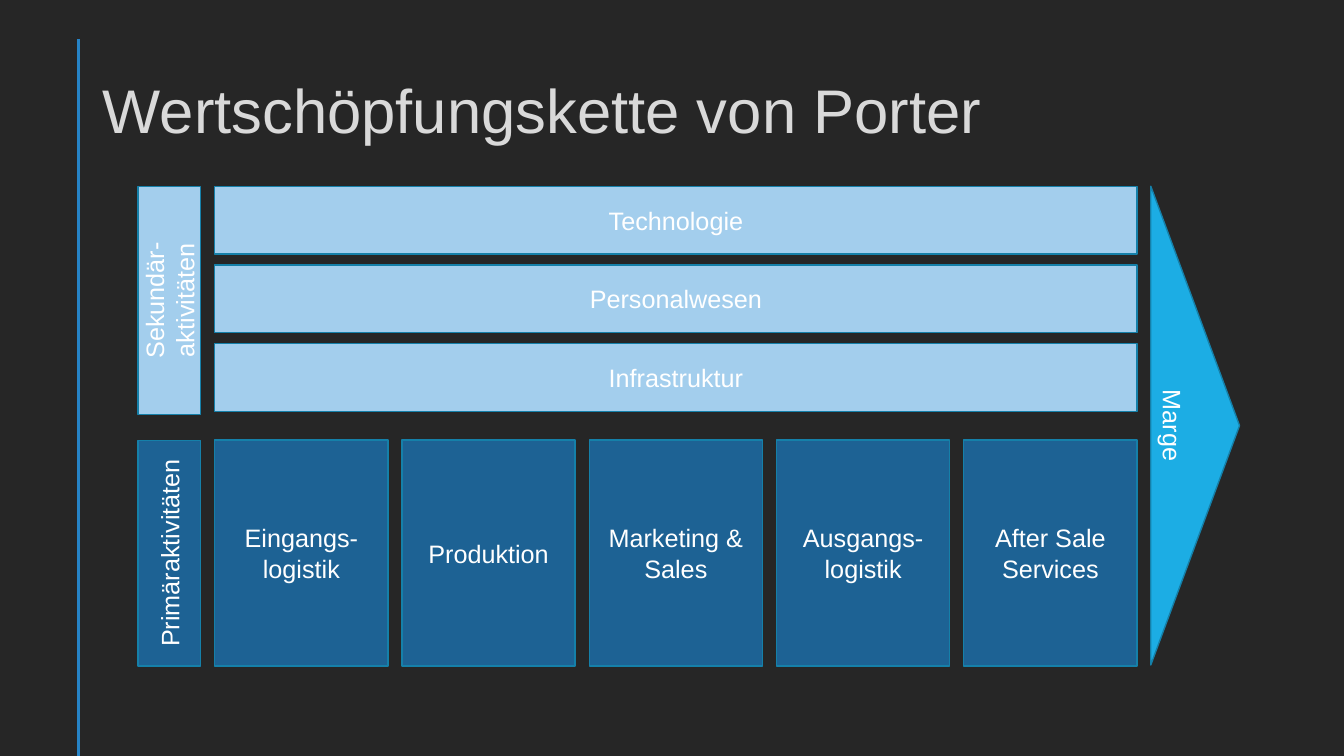
import pptx
import pptx.dml.color
import pptx.enum.shapes
import pptx.enum.text
import pptx.oxml
import pptx.util

Pt = pptx.util.Pt
Shape = pptx.enum.shapes.MSO_SHAPE
Align = pptx.enum.text.PP_ALIGN
Anchor = pptx.enum.text.MSO_ANCHOR

COLORS = {
    "background": "262626",
    "title": "D9D9D9",
    "text": "FFFFFF",
    "rule": "2683C6",
    "outline": "1580A9",
    "secondary": "A3CEED",
    "primary": "1D6294",
    "margin": "1CADE4",
}
FONT = "Arial"
SUPPORT = ["Technologie", "Personalwesen", "Infrastruktur"]
CORE = [
    ["Eingangs-", "logistik"],
    ["Produktion"],
    ["Marketing &", "Sales"],
    ["Ausgangs-", "logistik"],
    ["After Sale Services"],
]
LABEL_WIDTH = 44.6
LABEL_GAP = 10.2
BAR_GAP = 8
BOX_GAP = 10


def color(name):
    """Return the named palette colour."""
    return pptx.dml.color.RGBColor.from_string(COLORS[name])


def add_run(para, text, size, name):
    """Add one formatted run to a paragraph."""
    span = para.add_run()
    span.text = text
    span.font.size = Pt(size)
    span.font.name = FONT
    span.font.color.rgb = color(name)


def add_block(page, box, lines, fill, kind=Shape.RECTANGLE, rotation=0):
    """Fill a visible box with a labelled shape, turned if asked."""
    left, top, width, height = box
    if rotation:
        left, top = left + (width - height) / 2, top + (height - width) / 2
        width, height = height, width
    block = page.shapes.add_shape(kind, Pt(left), Pt(top), Pt(width), Pt(height))
    block.rotation = rotation
    block.shadow.inherit = False
    block.fill.solid()
    block.fill.fore_color.rgb = color(fill)
    block.line.color.rgb = color("outline")
    block.line.width = Pt(1)
    frame = block.text_frame
    frame.word_wrap = True
    frame.vertical_anchor = Anchor.MIDDLE
    for index, line in enumerate(lines):
        para = frame.add_paragraph() if index else frame.paragraphs[0]
        para.alignment = Align.CENTER
        add_run(para, line, 18, "text")


def add_rule(page, left, top, bottom):
    """Draw the vertical accent line beside the title."""
    rule = page.shapes.add_connector(
        pptx.enum.shapes.MSO_CONNECTOR.STRAIGHT, Pt(left), Pt(top), Pt(left), Pt(bottom))
    rule.line.color.rgb = color("rule")
    rule.line.width = Pt(2)
    rule._element.spPr.append(pptx.oxml.parse_xml(
        '<a:effectLst xmlns:a="http://schemas.openxmlformats.org/drawingml/2006/main"/>'))


def add_title(page, box, text):
    """Place and format the title placeholder."""
    title = page.shapes.title
    title.left, title.top, title.width, title.height = map(Pt, box)
    frame = title.text_frame
    frame.word_wrap = True
    frame.vertical_anchor = Anchor.MIDDLE
    para = frame.paragraphs[0]
    para.alignment = Align.LEFT
    para.line_spacing = 0.9
    add_run(para, text, 44, "title")


def add_secondary(page, box):
    """Draw the side label and stacked bars of the support activities."""
    left, top, width, height = box
    add_block(page, (left, top, LABEL_WIDTH, height), ["Sekundär-aktivitäten"],
              "secondary", rotation=270)
    bar_left = left + LABEL_WIDTH + LABEL_GAP
    bar_height = 48.2
    for index, name in enumerate(SUPPORT):
        bar_top = top + index * (bar_height + BAR_GAP)
        add_block(page, (bar_left, bar_top, left + width - bar_left, bar_height),
                  [name], "secondary")


def add_primary(page, box):
    """Draw the side label and row of boxes of the core activities."""
    left, top, width, height = box
    add_block(page, (left, top, LABEL_WIDTH, height), ["Primäraktivitäten"],
              "primary", rotation=270)
    row_left = left + LABEL_WIDTH + LABEL_GAP
    box_width = (left + width - row_left - BOX_GAP * (len(CORE) - 1)) / len(CORE)
    for index, lines in enumerate(CORE):
        box_left = row_left + index * (box_width + BOX_GAP)
        add_block(page, (box_left, top, box_width, height), lines, "primary")


def add_margin(page, box):
    """Draw the margin arrowhead that closes the chain."""
    add_block(page, box, ["Marge"], "margin", Shape.ISOSCELES_TRIANGLE, 90)


def add_chain_page(deck):
    """Build the value chain slide."""
    page = deck.slides.add_slide(deck.slide_layouts[5])
    page.background.fill.solid()
    page.background.fill.fore_color.rgb = color("background")
    add_rule(page, 56.2, 28, 540)
    add_title(page, (66.2, 28.8, 828, 104.4), "Wertschöpfungskette von Porter")
    add_secondary(page, (98.6, 133.2, 713.6, 162.7))
    add_primary(page, (98.6, 314.4, 713.6, 161.3))
    add_margin(page, (822, 133, 63.4, 342))


def main():
    """Create and save the deck."""
    deck = pptx.Presentation()
    deck.slide_width, deck.slide_height = Pt(960), Pt(540)
    add_chain_page(deck)
    deck.save("out.pptx")


if __name__ == "__main__":
    main()
